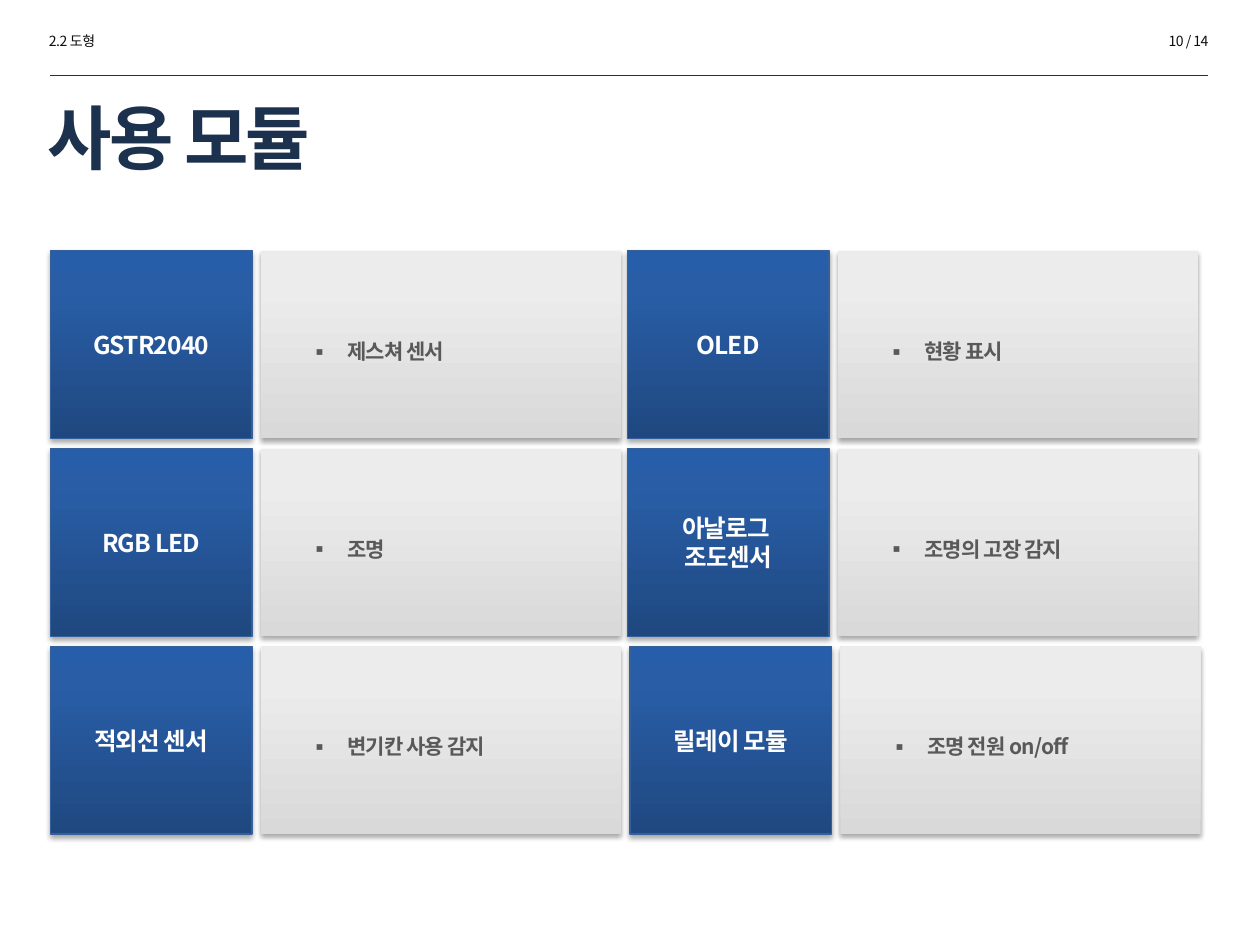
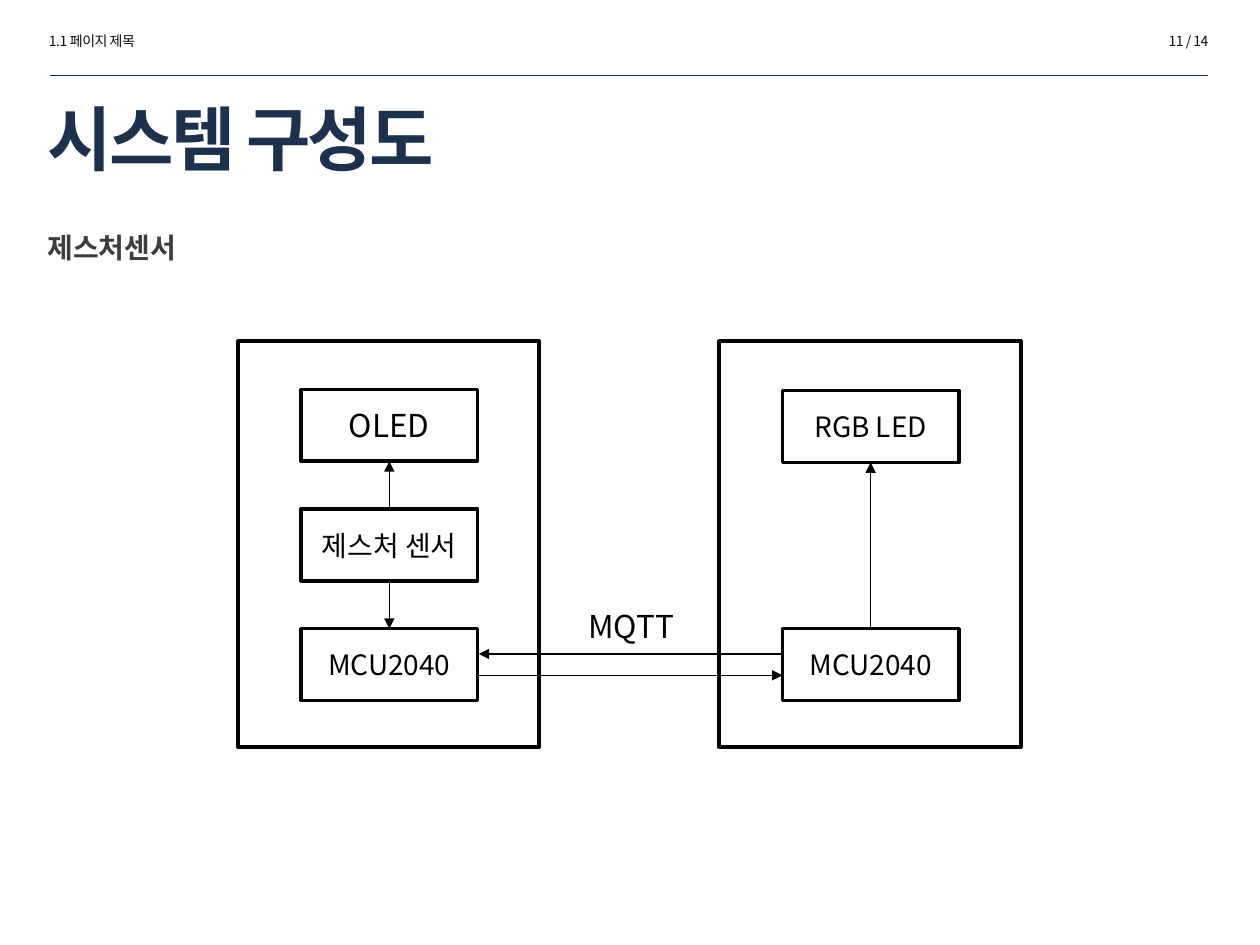
"""Build two slides: a grid of modules and a system diagram."""
from dataclasses import dataclass

from lxml import etree
from pptx import Presentation
from pptx import util as u
from pptx.dml.color import RGBColor
from pptx.enum import shapes, text
from pptx.oxml.ns import qn


@dataclass(frozen=True)
class Theme:
    font: str = "Noto Sans CJK KR"
    navy: str = "1C314E"
    header: str = "0D0D0D"
    heading: str = "3D3C3E"
    detail: str = "595959"
    white: str = "FFFFFF"
    black: str = "000000"
    label_edge: str = "35609C"
    label_stops: tuple = ((0, "1F4880"), (80, "295EA7"), (100, "265EAA"))
    detail_stops: tuple = ((0, "D9D9D9"), (80, "ECECEC"))
    header_size: float = 8
    detail_size: float = 12
    label_size: float = 14
    node_size: float = 16
    large_size: float = 18
    title_size: float = 40


THEME = Theme()
ALIGN = text.PP_ALIGN
ANCHOR = text.MSO_ANCHOR
SHAPE = shapes.MSO_SHAPE


def add_xml(parent, tag, **attributes):
    return etree.SubElement(parent, qn(tag), {k: str(v) for k, v in attributes.items()})


def write(shape, words, *, size, color=THEME.black, bold=False, spacing=0,
          align=ALIGN.LEFT, anchor=ANCHOR.TOP, before=0, bullet=False, grow=False):
    frame = shape.text_frame
    frame.word_wrap = True
    frame.vertical_anchor = anchor
    if grow:
        frame.auto_size = text.MSO_AUTO_SIZE.SHAPE_TO_FIT_TEXT
    for index, line in enumerate(words.split("\n")):
        para = frame.add_paragraph() if index else frame.paragraphs[0]
        para.alignment = align
        if before:
            para.space_before = u.Pt(before)
        if bullet:
            para.line_spacing = 1.5
            properties = para._p.get_or_add_pPr()
            properties.set("marL", str(u.Inches(0.59)))
            properties.set("indent", str(u.Inches(-0.3)))
            add_xml(properties, "a:buFont", typeface=THEME.font)
            add_xml(properties, "a:buChar", char="▪")
        span = para.add_run()
        span.text = line
        span.font.size = u.Pt(size)
        span.font.bold = bold
        span.font.color.rgb = RGBColor.from_string(color)
        span.font.name = THEME.font
        settings = span._r.get_or_add_rPr()
        settings.set("spc", str(round(spacing * 100)))
        add_xml(settings, "a:ea", typeface=THEME.font)


def add_text(page, words, place, **style):
    box = page.shapes.add_textbox(*map(u.Inches, place))
    write(box, words, **style)


def add_box(page, place, kind=SHAPE.RECTANGLE, fill=None, edge=None, width=1):
    box = page.shapes.add_shape(kind, *map(u.Inches, place))
    box.shadow.inherit = False
    if fill:
        box.fill.solid()
        box.fill.fore_color.rgb = RGBColor.from_string(fill)
    else:
        box.fill.background()
    if edge:
        box.line.color.rgb = RGBColor.from_string(edge)
        box.line.width = u.Pt(width)
    else:
        box.line.fill.background()
    return box


def add_panel(page, place, stops, edge=None):
    box = add_box(page, place, edge=edge, width=0.75)
    box.fill.gradient()
    box.fill.gradient_angle = 90
    properties = box._element.spPr
    stop_list = properties.find(".//" + qn("a:gsLst"))
    for stop in list(stop_list):
        stop_list.remove(stop)
    for position, color in stops:
        stop = add_xml(stop_list, "a:gs", pos=position * 1000)
        add_xml(stop, "a:srgbClr", val=color)
    shadow = add_xml(properties.find(qn("a:effectLst")), "a:outerShdw",
                     blurRad=u.Pt(3.1), dist=u.Pt(1.8), dir=5400000,
                     algn="t", rotWithShape=0)
    color = add_xml(shadow, "a:srgbClr", val=THEME.black)
    add_xml(color, "a:alpha", val=35000)
    return box


def add_line(page, start, end, color=THEME.black, width=0.75, arrow=True):
    line = page.shapes.add_connector(shapes.MSO_CONNECTOR.STRAIGHT,
                                     *map(u.Inches, (*start, *end)))
    line.line.color.rgb = RGBColor.from_string(color)
    line.line.width = u.Pt(width)
    if arrow:
        add_xml(line.line._get_or_add_ln(), "a:tailEnd", type="triangle")
    add_xml(line._element.spPr, "a:effectLst")


def add_page(deck, section, number, title, title_place):
    page = deck.slides.add_slide(deck.slide_layouts[6])
    header = dict(size=THEME.header_size, color=THEME.header, spacing=-0.3, grow=True)
    add_text(page, section, (0.29, 0.21, 1.73, 0.24), **header)
    add_text(page, f"{number} / 14", (7.96, 0.21, 1.73, 0.24), align=ALIGN.RIGHT, **header)
    add_line(page, (0.4, 0.6), (9.59, 0.6), THEME.navy, 0.25, arrow=False)
    add_text(page, title, title_place, size=THEME.title_size, color=THEME.navy,
             bold=True, spacing=-1.5, anchor=ANCHOR.MIDDLE)
    return page


def add_module(page, left, top, name, purpose):
    height = 1.49
    label = add_panel(page, (left, top, 1.6, height), THEME.label_stops, THEME.label_edge)
    write(label, name, size=THEME.label_size, color=THEME.white, bold=True,
          spacing=-0.5, align=ALIGN.CENTER, anchor=ANCHOR.MIDDLE)
    detail = add_panel(page, (left + 1.67, top, 2.86, height), THEME.detail_stops)
    write(detail, purpose, size=THEME.detail_size, color=THEME.detail, bold=True,
          spacing=-0.5, anchor=ANCHOR.MIDDLE, bullet=True)


def add_node(page, left, top, name, size=THEME.node_size):
    node = add_box(page, (left, top, 1.4, 0.57), SHAPE.FLOWCHART_PROCESS,
                   THEME.white, THEME.black, 2)
    write(node, name, size=size, align=ALIGN.CENTER, anchor=ANCHOR.MIDDLE)


def build_modules(deck):
    page = add_page(deck, "2.2 도형", 10, "사용 모듈", (0.28, 0.58, 9.16, 1))
    rows = (
        (4.98, ("GSTR2040", "제스쳐 센서"), ("OLED", "현황 표시")),
        (4.98, ("RGB LED", "조명"), ("아날로그 \n조도센서", "조명의 고장 감지")),
        (5, ("적외선 센서", "변기칸 사용 감지"), ("릴레이 모듈", "조명 전원 on/off")),
    )
    for index, (right, first, second) in enumerate(rows):
        top = 1.99 + index * 1.57
        add_module(page, 0.4, top, *first)
        add_module(page, right, top, *second)


def build_system(deck):
    page = add_page(deck, "1.1 페이지 제목", 11, "시스템 구성도", (0.28, 0.77, 7.65, 0.64))
    add_text(page, "제스처센서", (0.28, 1.78, 9.26, 1.39), size=THEME.node_size,
             color=THEME.heading, bold=True, before=3.2)
    sender, receiver = 2.39, 6.21
    for left in (sender, receiver):
        add_box(page, (left - 0.5, 2.71, 2.39, 3.22), edge=THEME.black, width=2.25)
        add_node(page, left, 4.99, "MCU2040")
    add_node(page, sender, 3.09, "OLED", THEME.large_size)
    add_node(page, sender, 4.04, "제스처 센서")
    add_node(page, receiver, 3.1, "RGB LED")
    arrows = (
        ((3.09, 4.04), (3.09, 3.66)),
        ((3.09, 4.61), (3.09, 4.99)),
        ((6.91, 4.99), (6.91, 3.67)),
        ((3.8, 5.36), (6.21, 5.36)),
        ((6.21, 5.19), (3.8, 5.19)),
    )
    for start, end in arrows:
        add_line(page, start, end)
    add_text(page, "MQTT", (4.51, 4.77, 1, 0.4), size=THEME.large_size,
             align=ALIGN.CENTER, grow=True)


def main():
    deck = Presentation()
    deck.slide_width, deck.slide_height = u.Inches(10), u.Inches(7.5)
    build_modules(deck)
    build_system(deck)
    deck.save("out.pptx")


main()
